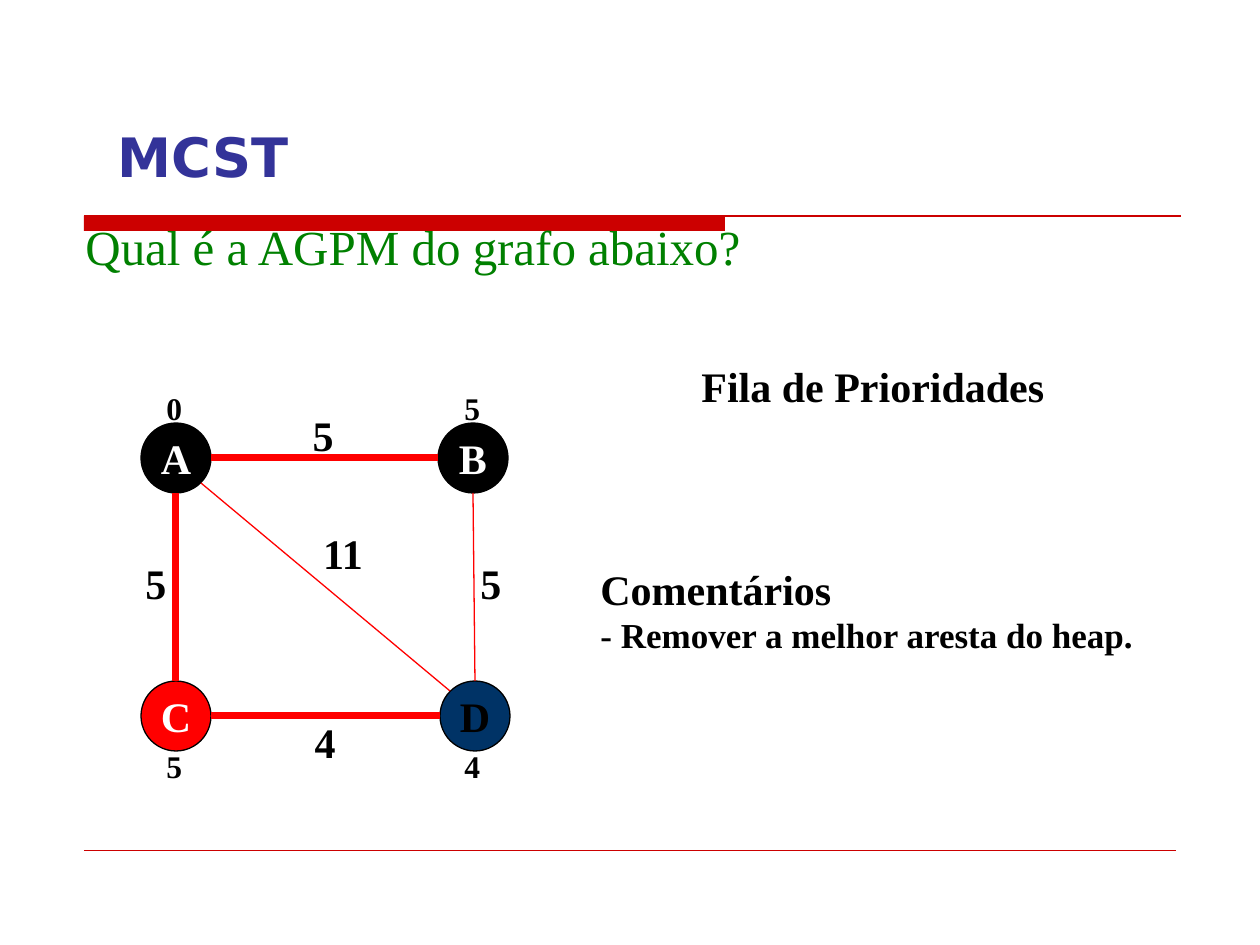
from lxml.etree import SubElement
from pptx import Presentation
from pptx.dml.color import RGBColor
from pptx.enum.shapes import MSO_CONNECTOR, MSO_SHAPE
from pptx.enum.text import MSO_ANCHOR, PP_ALIGN
from pptx.oxml.ns import qn
from pptx.util import Pt

# Content, with lengths in px (126 to the inch)
SERIF, SANS = "Times New Roman", "DejaVu Sans"
COLORS = {
    "rule": "CC0000", "title": "333399", "question": "008000", "edge": "FF0000",
    "black": "000000", "white": "FFFFFF", "red": "FF0000", "navy": "003366",
}
TITLE = "MCST"
RADIUS = 35
DIAGONAL = 25  # offset along each axis at 45 degrees

# name: (centre x, centre y, fill, text colour)
NODES = {
    "A": (176, 458, "black", "white"),
    "B": (473, 458, "black", "white"),
    "C": (176, 716, "red", "white"),
    "D": (475, 716, "navy", "black"),
}
# from, to, direction of travel, line width in points
EDGES = [
    ("A", "B", (1, 0), 4),
    ("B", "D", (0, 1), 0.75),
    ("D", "C", (-1, 0), 4),
    ("C", "A", (0, -1), 4),
    ("A", "D", (1, 1), 0.75),
]
# text, centre x, centre y
WEIGHTS = [("5", 323, 435), ("5", 491, 583), ("11", 343, 553),
           ("5", 156, 583), ("4", 325, 742)]
KEYS = [("0", 174, 408), ("5", 174, 766), ("5", 472, 408), ("4", 472, 766)]
# box, lines of (text, size), colour, bold, alignment, wrap
TEXTS = [
    ((689, 354, 368, 63), [("Fila de Prioridades", 24)],
     "black", True, PP_ALIGN.CENTER, False),
    ((73, 210, 1113, 72), [("Qual é a AGPM do grafo abaixo?", 28)],
     "question", False, PP_ALIGN.LEFT, True),
    ((588, 557, 620, 106),
     [("Comentários", 24), ("- Remover a melhor aresta do heap.", 20)],
     "black", True, PP_ALIGN.LEFT, True),
]


def px(length):
    return round(length * 914400 / 126)


def rgb(name):
    return RGBColor.from_string(COLORS[name])


def write(frame, lines, color, bold=True, align=PP_ALIGN.CENTER, wrap=False,
          font=SERIF):
    frame.text = "\n".join(text for text, _ in lines)
    frame.word_wrap = wrap
    for paragraph, (_, size) in zip(frame.paragraphs, lines):
        paragraph.alignment = align
        for run in paragraph.runs:
            run.font.name = font
            run.font.size = Pt(size)
            run.font.bold = bold
            run.font.color.rgb = rgb(color)


def add_text(box, *style):
    frame = slide.shapes.add_textbox(*map(px, box)).text_frame
    write(frame, *style)


def add_label(text, x, y, width, height, size):
    add_text((x - width / 2, y - height / 2, width, height),
             [(text, size)], "black")


def add_shape(kind, box, fill):
    shape = slide.shapes.add_shape(kind, *map(px, box))
    shape.shadow.inherit = False
    shape.fill.solid()
    shape.fill.fore_color.rgb = rgb(fill)
    return shape


def add_line(start, end, color, width):
    line = slide.shapes.add_connector(
        MSO_CONNECTOR.STRAIGHT, *map(px, (*start, *end)))
    line.line.color.rgb = rgb(color)
    line.line.width = Pt(width)
    SubElement(line._element.spPr, qn("a:effectLst"))


prs = Presentation()
prs.slide_width, prs.slide_height = px(1260), px(945)
slide = prs.slides.add_slide(prs.slide_layouts[5])

# Title
title = slide.shapes.title
title.left, title.top, title.width, title.height = map(px, (105, 38, 1134, 157))
title.text_frame.vertical_anchor = MSO_ANCHOR.BOTTOM
write(title.text_frame, [(TITLE, 31)], "title", True, PP_ALIGN.LEFT, True, SANS)

# Header bar and rules
bar = add_shape(MSO_SHAPE.RECTANGLE, (84, 216, 641, 15), "rule")
bar.line.fill.background()
add_line((84, 216), (1181, 216), "rule", 0.75)
add_line((84, 850), (1176, 850), "rule", 0.25)

# Question, queue heading and comments
for text in TEXTS:
    add_text(*text)

# Graph nodes
for name, (x, y, fill, color) in NODES.items():
    node = add_shape(MSO_SHAPE.OVAL,
                     (x - RADIUS, y - RADIUS, 2 * RADIUS, 2 * RADIUS), fill)
    node.line.color.rgb = rgb("black")
    node.line.width = Pt(0.75)
    node.text_frame.vertical_anchor = MSO_ANCHOR.MIDDLE
    write(node.text_frame, [(name, 24)], color)

# Graph edges, from rim to rim
for source, target, (dx, dy), width in EDGES:
    reach = DIAGONAL if dx and dy else RADIUS
    x1, y1 = NODES[source][:2]
    x2, y2 = NODES[target][:2]
    add_line((x1 + dx * reach, y1 + dy * reach),
             (x2 - dx * reach, y2 - dy * reach), "edge", width)

# Edge weights and node keys
for text, x, y in WEIGHTS:
    add_label(text, x, y, 25 + 21 * len(text), 63, 24)
for text, x, y in KEYS:
    add_label(text, x, y, 40, 50, 18)

prs.save("out.pptx")
